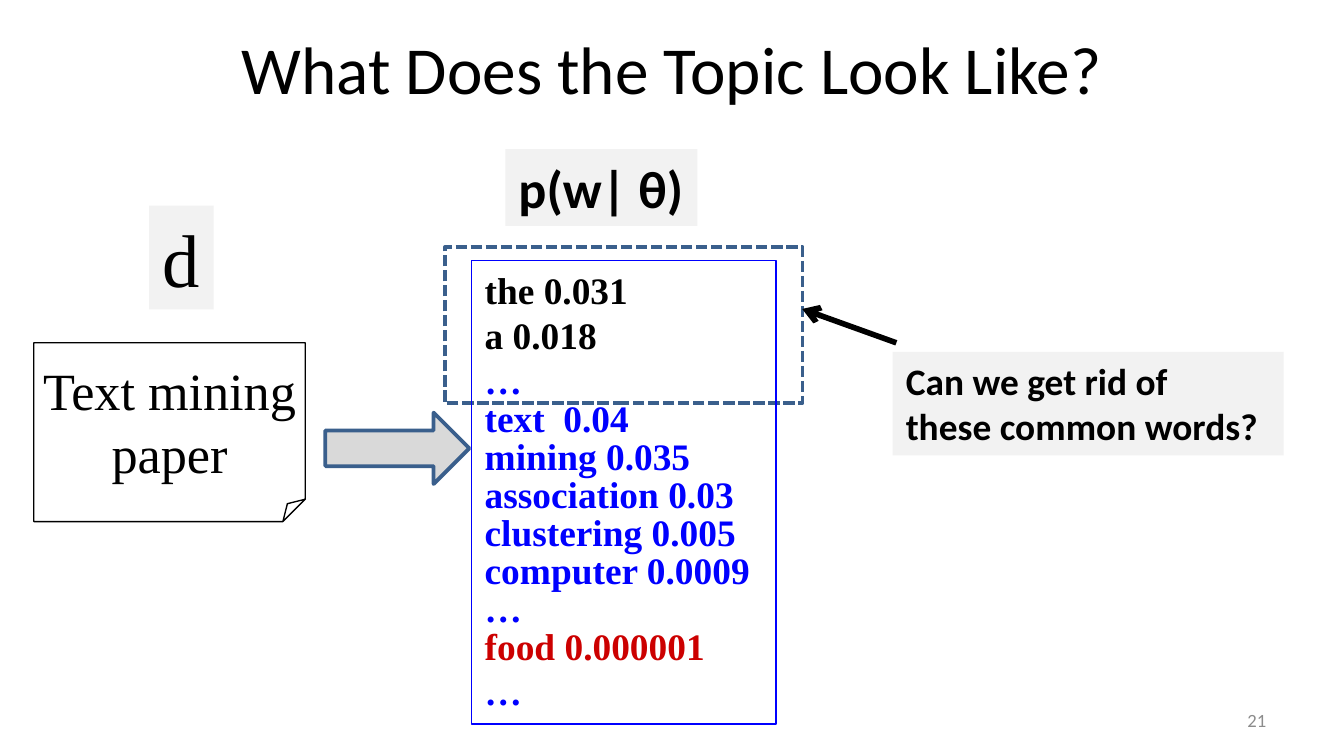
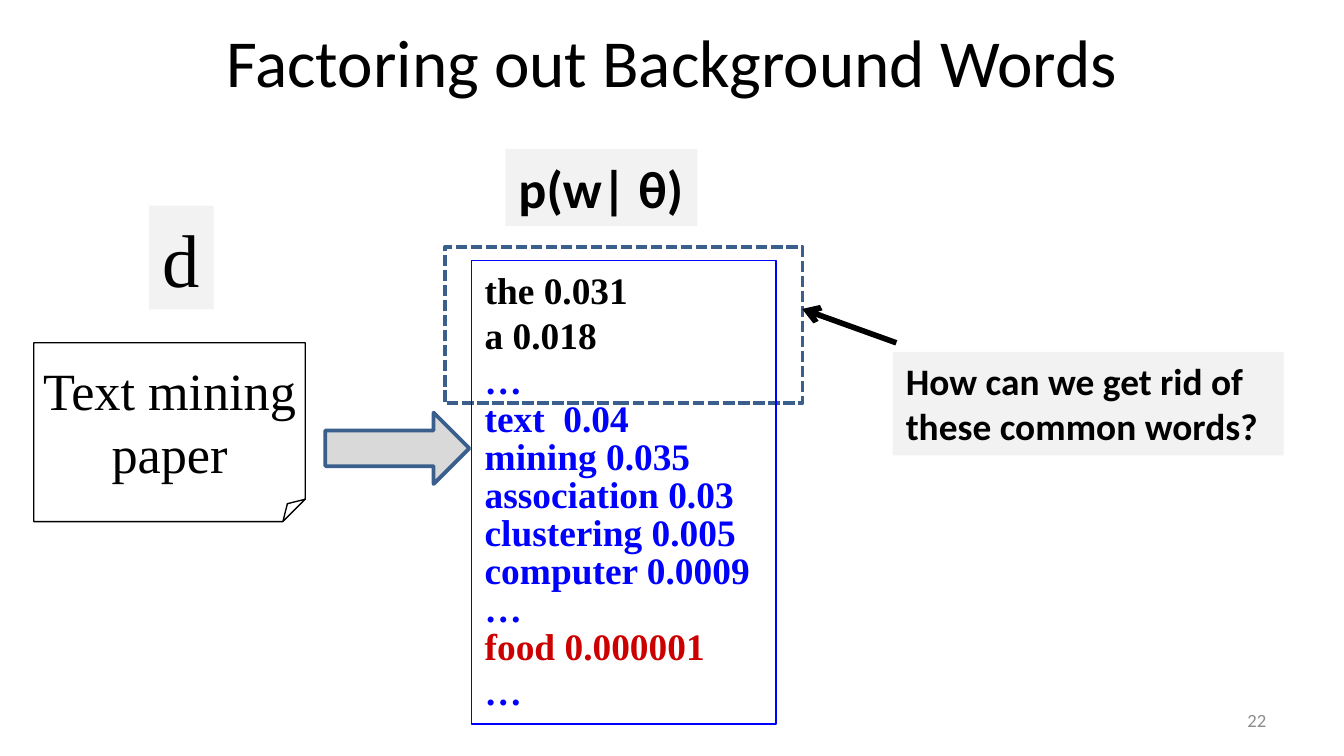
from lxml import etree
from pptx import Presentation
from pptx.dml.color import RGBColor
from pptx.enum import dml, shapes, text
from pptx.oxml import ns
from pptx.util import Cm, Pt

BLACK = RGBColor(0x00, 0x00, 0x00)
WHITE = RGBColor(0xFF, 0xFF, 0xFF)
PALE = RGBColor(0xF2, 0xF2, 0xF2)
SILVER = RGBColor(0xD9, 0xD9, 0xD9)
GREY = RGBColor(0x8C, 0x8C, 0x8C)
STEEL = RGBColor(0x3A, 0x5F, 0x8C)
BLUE = RGBColor(0x00, 0x00, 0xFF)
RED = RGBColor(0xCC, 0x00, 0x00)

SANS, SERIF = "Calibri", "Times New Roman"
KIND = shapes.MSO_SHAPE
ALIGN = text.PP_ALIGN
MIDDLE = text.MSO_ANCHOR.MIDDLE

WORDS = [
    ("the 0.031", BLACK, 1),
    ("a 0.018", BLACK, 1),
    ("…", BLUE, 1),
    ("text  0.04", BLUE, 0.85),
    ("mining 0.035", BLUE, 0.85),
    ("association 0.03", BLUE, 0.85),
    ("clustering 0.005", BLUE, 0.85),
    ("computer 0.0009", BLUE, 0.85),
    ("…", BLUE, 0.85),
    ("food 0.000001", RED, 0.85),
    ("…", BLUE, 1),
]


def write(sp, lines, size=20, font=SANS, color=BLACK, bold=False,
          align=ALIGN.LEFT, anchor=text.MSO_ANCHOR.TOP, wrap=False):
    """Fill a shape with lines, each a string or (string, colour, line spacing)."""
    tf = sp.text_frame
    tf.word_wrap = wrap
    tf.vertical_anchor = anchor
    for i, line in enumerate(lines):
        words, ink, spacing = (line, color, 1) if isinstance(line, str) else line
        p = tf.add_paragraph() if i else tf.paragraphs[0]
        p.alignment = align
        p.line_spacing = spacing
        r = p.add_run()
        r.text = words
        r.font.name, r.font.size, r.font.bold = font, Pt(size), bold
        r.font.color.rgb = ink


def add_box(s, x, y, w, h, kind=KIND.RECTANGLE, fill=None, line=None, width=0.75):
    """Add a flat preset shape with optional fill and outline."""
    sp = s.shapes.add_shape(kind, Cm(x), Cm(y), Cm(w), Cm(h))
    sp.shadow.inherit = False
    if fill is None:
        sp.fill.background()
    else:
        sp.fill.solid()
        sp.fill.fore_color.rgb = fill
    if line is None:
        sp.line.fill.background()
    else:
        sp.line.color.rgb = line
        sp.line.width = Pt(width)
    return sp


def add_label(s, x, y, w, h, lines, **fmt):
    """Add a middle-anchored text box with narrow margins."""
    sp = s.shapes.add_textbox(Cm(x), Cm(y), Cm(w), Cm(h))
    tf = sp.text_frame
    tf.margin_left = tf.margin_right = Cm(0.2)
    tf.margin_top = tf.margin_bottom = Cm(0.1)
    write(sp, lines, anchor=MIDDLE, wrap=True, **fmt)


def add_arrow(s, x1, y1, x2, y2):
    """Draw a thick black line with an open arrowhead at its end."""
    c = s.shapes.add_connector(shapes.MSO_CONNECTOR.STRAIGHT,
                               Cm(x1), Cm(y1), Cm(x2), Cm(y2))
    c.line.color.rgb = BLACK
    c.line.width = Pt(3)
    etree.SubElement(c.get_or_add_ln(), ns.qn("a:tailEnd"), type="arrow")
    etree.SubElement(c._element.spPr, ns.qn("a:effectLst"))


def add_document(s, x, y, w, h):
    """Place the document, its symbol and the arrow leading out of it."""
    paper_w, paper_h = 5.13, 3.38
    sp = add_box(s, x, y + h - paper_h, paper_w, paper_h, KIND.FOLDED_CORNER, line=BLACK)
    fold = next(sp._element.iter(ns.qn("a:avLst")))
    etree.SubElement(fold, ns.qn("a:gd"), name="adj", fmla="val 12500")
    write(sp, ["Text mining", "paper"], size=28, font=SERIF,
          align=ALIGN.CENTER, anchor=MIDDLE)
    sp = add_box(s, x + 2.18, y, 1.22, 1.96, fill=PALE)
    write(sp, ["d"], size=40, font=SERIF)
    add_box(s, x + w - 2.72, y + 3.91, 2.72, 1.35, KIND.RIGHT_ARROW, SILVER, STEEL, 2)


def add_topic(s, x, y, w, h):
    """Place the word distribution, its heading and the common-word frame."""
    sp = add_box(s, x, y + 1.85, w, 2.95, fill=WHITE, line=STEEL, width=2)
    sp.line.dash_style = dml.MSO_LINE.SQUARE_DOT
    inset, top = 0.5, 2.11
    sp = add_box(s, x + inset, y + top, w - 2 * inset, h - top, line=BLUE)
    write(sp, WORDS, font=SERIF, bold=True, wrap=True)
    sp = add_box(s, x + 1.14, y, 3.63, 1.45, fill=PALE)
    write(sp, ["p(w| θ)"], size=28, bold=True)


def add_question(s, x, y, w, h, lines):
    """Place the question and its arrow to the top left of the region."""
    box_w, box_h = 7.39, 1.96
    sp = add_box(s, x + w - box_w, y + h - box_h, box_w, box_h, fill=PALE)
    write(sp, lines, bold=True, wrap=True)
    add_arrow(s, x + 1.78, y + 0.64, x, y)


def add_topic_slide(prs, title, title_box, question, number):
    """Build one slide from its title, question and page number."""
    s = prs.slides.add_slide(prs.slide_layouts[6])
    add_topic(s, 8.41, 2.82, 6.76, 10.87)
    add_label(s, *title_box, [title], size=36, align=ALIGN.CENTER)
    add_document(s, 0.64, 3.89, 8.23, 5.97)
    add_question(s, 15.16, 5.84, 9.1, 2.77, [question, "these common words?"])
    add_label(s, 18.21, 13.23, 5.92, 0.76, [str(number)], size=10, color=GREY,
              align=ALIGN.RIGHT)


def main():
    """Build and save the two slides."""
    prs = Presentation()
    prs.slide_width, prs.slide_height = Cm(25.4), Cm(14.29)
    add_topic_slide(prs, "What Does the Topic Look Like?",
                    (1.27, 0.08, 22.86, 2.39), "Can we get rid of", 21)
    add_topic_slide(prs, "Factoring out Background Words",
                    (0, -0.05, 25.4, 2.39), "How can we get rid of", 22)
    prs.save("out.pptx")


if __name__ == "__main__":
    main()
